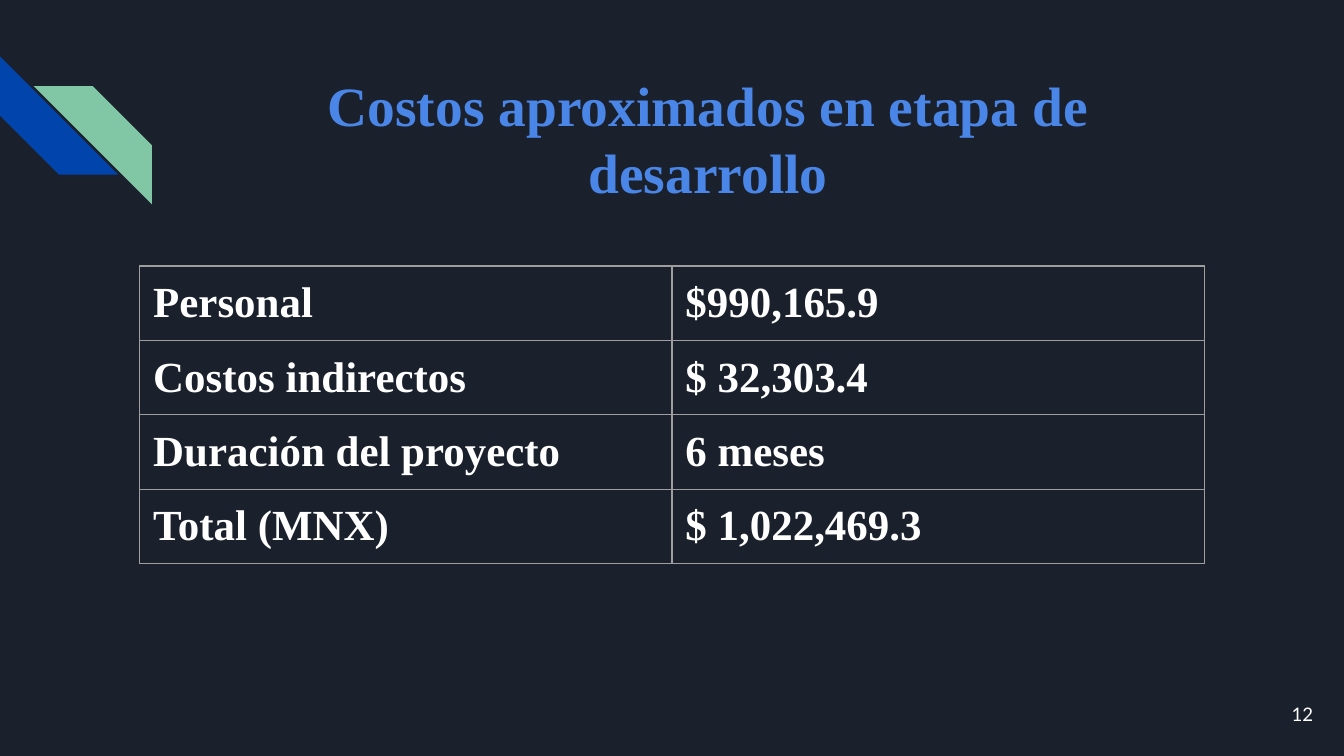
from pptx import Presentation
from pptx.dml.color import RGBColor
from pptx.enum import shapes, text
from pptx.oxml import parse_xml
from pptx.oxml.ns import nsdecls
from pptx.util import Inches, Pt

COLORS = {
    "background": "1B212C",
    "blue": "0145AC",
    "green": "82C7A5",
    "title": "4A86E8",
    "text": "FFFFFF",
    "border": "9E9E9E",
}
SERIF = "Times New Roman"
COSTS = [
    ("Personal", "$990,165.9"),
    ("Costos indirectos", "$ 32,303.4"),
    ("Duración del proyecto", "6 meses"),
    ("Total (MNX)", "$ 1,022,469.3"),
]


def rgb(name):
    return RGBColor.from_string(COLORS[name])


def write(tf, content, size, font, color, align, bold=False):
    tf.text = content
    p = tf.paragraphs[0]
    p.alignment = align
    r = p.runs[0]
    r.font.size = Pt(size)
    r.font.name = font
    r.font.bold = bold
    r.font.color.rgb = rgb(color)


def add_stripe(s, left, top, rotation, color):
    sp = s.shapes.add_shape(shapes.MSO_SHAPE.DIAGONAL_STRIPE,
                            Inches(left), Inches(top), Inches(0.88), Inches(0.88))
    sp.adjustments[0] = 0.5
    sp.rotation = rotation
    sp.shadow.inherit = False
    sp.fill.solid()
    sp.fill.fore_color.rgb = rgb(color)
    sp.line.fill.background()


def add_text(s, left, top, width, height, anchor):
    """Add a wrapping text box and return its text frame."""
    tf = s.shapes.add_textbox(Inches(left), Inches(top),
                              Inches(width), Inches(height)).text_frame
    tf.word_wrap = True
    tf.vertical_anchor = anchor
    tf.margin_left = tf.margin_right = Inches(0.1)
    tf.margin_top = tf.margin_bottom = Inches(0.1)
    return tf


def set_borders(cell):
    tc_pr = cell._tc.get_or_add_tcPr()
    for i, side in enumerate(("lnL", "lnR", "lnT", "lnB")):
        tc_pr.insert(i, parse_xml(
            f'<a:{side} {nsdecls("a")} w="{Pt(0.75)}"><a:solidFill>'
            f'<a:srgbClr val="{COLORS["border"]}"/></a:solidFill></a:{side}>'))


def add_cost_table(s):
    row_height = Inches(0.42)
    table = s.shapes.add_table(len(COSTS), 2, Inches(1.04), Inches(1.98),
                               Inches(7.92), row_height * len(COSTS)).table
    table.first_row = table.horz_banding = False
    for row, values in zip(table.rows, COSTS):
        row.height = row_height
        for cell, value in zip(row.cells, values):
            cell.fill.background()
            cell.margin_left = cell.margin_right = cell.margin_top = Inches(0.1)
            cell.margin_bottom = Inches(0.07)
            write(cell.text_frame, value, 23, SERIF, "text",
                  text.PP_ALIGN.JUSTIFY, bold=True)
            set_borders(cell)


def main():
    prs = Presentation()
    prs.slide_width = Inches(10)
    prs.slide_height = prs.slide_width * 9 // 16
    s = prs.slides.add_slide(prs.slide_layouts[6])
    s.background.fill.solid()
    s.background.fill.fore_color.rgb = rgb("background")

    add_stripe(s, 0, 0.42, 270, "blue")
    add_stripe(s, 0.25, 0.64, 90, "green")

    title = add_text(s, 1.42, 0.43, 7.7, 1, text.MSO_ANCHOR.TOP)
    write(title, "Costos aproximados en etapa de desarrollo", 29.7, SERIF,
          "title", text.PP_ALIGN.CENTER, bold=True)

    number = add_text(s, 9.27, 5.1, 0.6, 0.43, text.MSO_ANCHOR.MIDDLE)
    write(number, "12", 10, "Lato", "text", text.PP_ALIGN.RIGHT)

    add_cost_table(s)
    prs.save("out.pptx")


if __name__ == "__main__":
    main()
